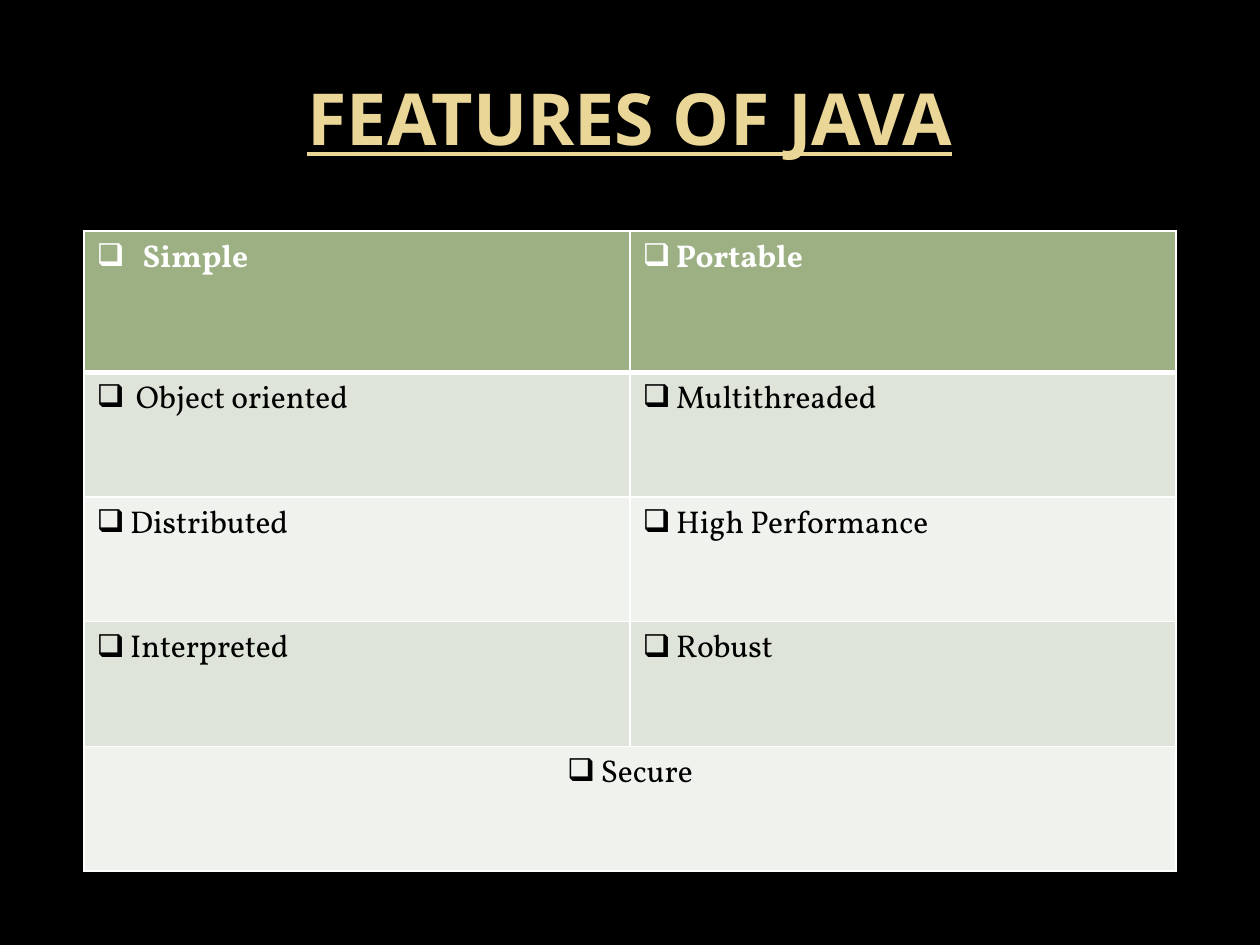
from lxml import etree
from pptx import Presentation
from pptx.dml.color import RGBColor
from pptx.enum import text
from pptx.oxml import ns
from pptx.util import Pt

COLORS = {
    "background": "000000", "title": "EAD696", "border": "FFFFFF",
    "header": "9CB084", "header_text": "FFFFFF", "body_text": "000000",
    "band_dark": "DEE4D9", "band_light": "EFF2ED",
}
FEATURES = [
    ("Simple", "Portable"),
    ("Object oriented", "Multithreaded"),
    ("Distributed", "High Performance"),
    ("Interpreted", "Robust"),
    ("Secure", ""),
]
BULLET_GAPS = {"Simple": 26.3, "Object oriented": 22.5}
DEFAULT_GAP = 19.2


def format_font(font, color, **values):
    font.color.rgb = RGBColor.from_string(COLORS[color])
    for name, value in values.items():
        setattr(font, name, value)


def add_border(cell, side, width):
    properties = cell._tc.get_or_add_tcPr()
    line = etree.SubElement(properties, ns.qn(f"a:ln{side}"), w=str(Pt(width)))
    fill = etree.SubElement(line, ns.qn("a:solidFill"))
    etree.SubElement(fill, ns.qn("a:srgbClr"), val=COLORS["border"])


presentation = Presentation()
presentation.slide_width, presentation.slide_height = Pt(720), Pt(540)
slide = presentation.slides.add_slide(presentation.slide_layouts[5])
background = slide.background.fill
background.solid()
background.fore_color.rgb = RGBColor.from_string(COLORS["background"])

# Title
title = slide.shapes.title
title.left, title.top, title.width, title.height = Pt(36), Pt(21.6), Pt(648), Pt(90)
title.text_frame.text = "FEATURES OF JAVA"
title.text_frame.vertical_anchor = text.MSO_ANCHOR.MIDDLE
paragraph = title.text_frame.paragraphs[0]
paragraph.alignment = text.PP_ALIGN.CENTER
format_font(paragraph.runs[0].font, "title", name="Noto Sans", size=Pt(41),
            bold=True, underline=True)

# Feature table
table = slide.shapes.add_table(len(FEATURES), 2, Pt(48), Pt(132), Pt(624), Pt(365.8)).table
for column in table.columns:
    column.width = Pt(312)
for row_index, row in enumerate(table.rows):
    row.height = Pt(71.25 if row_index else 80.75)
last_row = len(FEATURES) - 1
table.cell(last_row, 0).merge(table.cell(last_row, 1))

for row_index, features in enumerate(FEATURES):
    is_header = row_index == 0
    band = "header" if is_header else "band_dark" if row_index % 2 else "band_light"
    for column_index, feature in enumerate(features):
        cell = table.cell(row_index, column_index)
        border_widths = {"L": 1, "R": 1, "T": 3 if row_index == 1 else 1,
                         "B": 3 if is_header else 1}
        for side, width in border_widths.items():
            add_border(cell, side, width)
        cell.fill.solid()
        cell.fill.fore_color.rgb = RGBColor.from_string(COLORS[band])
        if not feature:
            continue
        cell.text = feature
        paragraph = cell.text_frame.paragraphs[0]
        if row_index == last_row:
            paragraph.alignment = text.PP_ALIGN.CENTER
        format_font(paragraph.runs[0].font, "header_text" if is_header else "body_text",
                    name="Vollkorn", size=Pt(18), bold=is_header)
        gap = Pt(BULLET_GAPS.get(feature, DEFAULT_GAP))
        properties = paragraph._p.get_or_add_pPr()
        properties.set("marL", str(gap))
        properties.set("indent", str(-gap))
        etree.SubElement(properties, ns.qn("a:buChar"), char="❑")

presentation.save("out.pptx")
